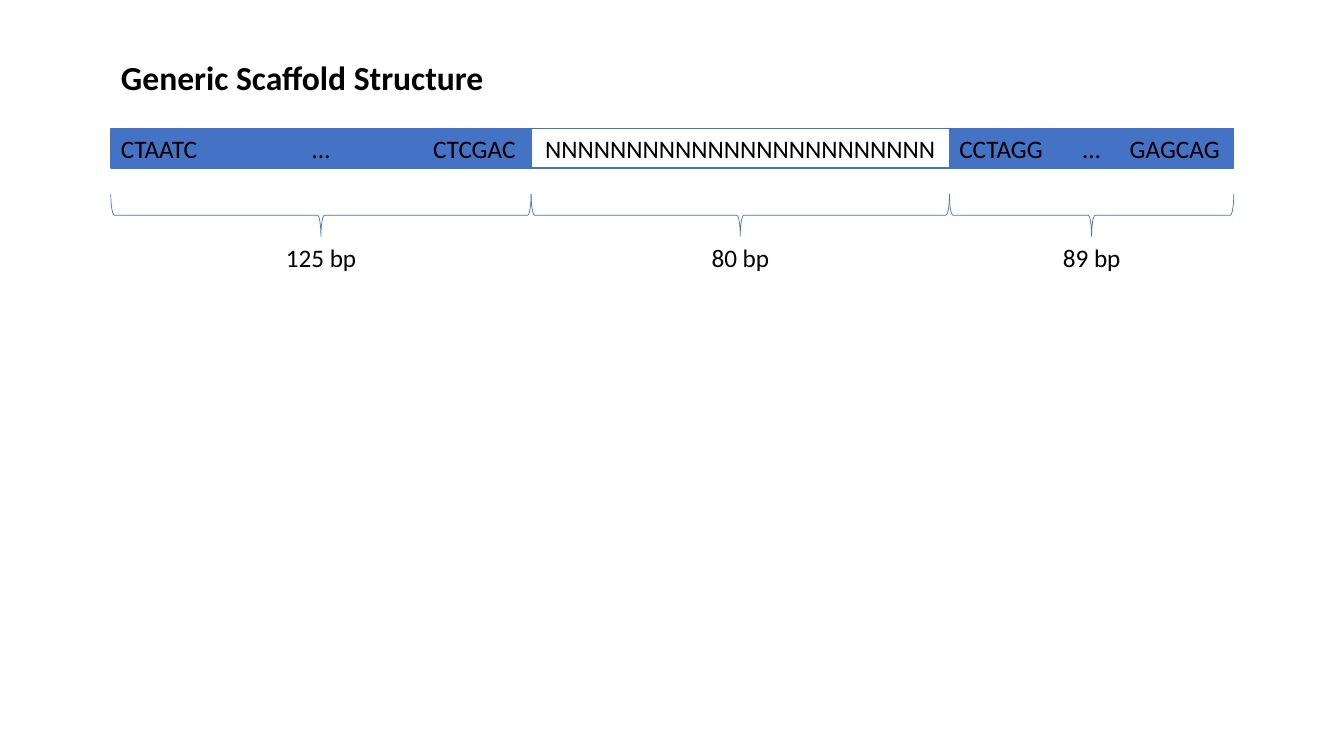
from dataclasses import dataclass

from pptx import Presentation
from pptx import util as u
from pptx.dml.color import RGBColor
from pptx.enum import shapes, text

Pt = u.Pt


@dataclass(frozen=True)
class Theme:
    blue: RGBColor = RGBColor(0x44, 0x72, 0xC4)
    white: RGBColor = RGBColor(0xFF, 0xFF, 0xFF)
    black: RGBColor = RGBColor(0, 0, 0)
    font: str = "Calibri"
    title_size: int = 24
    body_size: int = 18
    bar_line: float = 1
    brace_line: float = 0.5


@dataclass(frozen=True)
class Box:
    left: float
    top: float
    width: float
    height: float

    def lengths(self) -> tuple:
        return Pt(self.left), Pt(self.top), Pt(self.width), Pt(self.height)


@dataclass(frozen=True)
class Word:
    wording: str
    width: float


@dataclass(frozen=True)
class Region:
    left: float
    right: float
    length: str
    label_width: float
    start: Word | None = None
    end: Word | None = None

    @property
    def width(self) -> float:
        return self.right - self.left

    @property
    def centre(self) -> float:
        return (self.left + self.right) / 2


THEME = Theme()
ALIGN = text.PP_ALIGN
BAR_TOP, BAR_HEIGHT = 92, 28
TEXT_HEIGHT = 29
BRACE_CENTRE, BRACE_DEPTH = 153.7, 30.2
LABEL_TOP = 169.2
ELLIPSIS = Word("…", 29.5)
REGIONS = [
    Region(79.2, 379.4, "125 bp", 66.2, Word("CTAATC", 69), Word("CTCGAC", 77)),
    Region(379.4, 678.2, "80 bp", 56.2),
    Region(678.2, 881.3, "89 bp", 56.2, Word("CCTAGG", 77), Word("GAGCAG", 81.4)),
]


def write(shape, wording: str, size: int, align: ALIGN, bold: bool = False) -> None:
    frame = shape.text_frame
    frame.text = wording
    para = frame.paragraphs[0]
    para.alignment = align
    para.font.name = THEME.font
    para.font.size = Pt(size)
    para.font.bold = bold
    para.font.color.rgb = THEME.black


def add_bar(page, box: Box, fill: RGBColor):
    bar = page.shapes.add_shape(shapes.MSO_SHAPE.RECTANGLE, *box.lengths())
    bar.shadow.inherit = False
    bar.fill.solid()
    bar.fill.fore_color.rgb = fill
    bar.line.color.rgb = THEME.blue
    bar.line.width = Pt(THEME.bar_line)
    return bar


def add_brace(page, region: Region) -> None:
    box = Box(region.centre - BRACE_DEPTH / 2, BRACE_CENTRE - region.width / 2,
              BRACE_DEPTH, region.width)
    brace = page.shapes.add_shape(shapes.MSO_SHAPE.LEFT_BRACE, *box.lengths())
    brace.rotation = 270
    brace.shadow.inherit = False
    brace.fill.background()
    brace.line.color.rgb = THEME.blue
    brace.line.width = Pt(THEME.brace_line)


def add_word(page, word: Word, left: float, top: float, align: ALIGN = ALIGN.LEFT) -> None:
    box = Box(left, top, word.width, TEXT_HEIGHT)
    label = page.shapes.add_textbox(*box.lengths())
    label.text_frame.word_wrap = False
    write(label, word.wording, THEME.body_size, align)


def add_centred(page, word: Word, centre: float, top: float) -> None:
    add_word(page, word, centre - word.width / 2, top, ALIGN.CENTER)


def add_title(page, wording: str, box: Box) -> None:
    title = page.shapes.title
    title.left, title.top, title.width, title.height = box.lengths()
    title.text_frame.auto_size = text.MSO_AUTO_SIZE.NONE
    title.text_frame.vertical_anchor = text.MSO_ANCHOR.TOP
    write(title, wording, THEME.title_size, ALIGN.LEFT, bold=True)


def add_scaffold(page, regions: list[Region]) -> None:
    left, right = regions[0].left, regions[-1].right
    add_bar(page, Box(left, BAR_TOP, right - left, BAR_HEIGHT), THEME.blue)
    for region in regions:
        if region.start and region.end:
            add_word(page, region.start, region.left, BAR_TOP)
            add_centred(page, ELLIPSIS, region.centre, BAR_TOP)
            add_word(page, region.end, region.right - region.end.width, BAR_TOP)
        else:
            box = Box(region.left, BAR_TOP, region.width, BAR_HEIGHT)
            insert = add_bar(page, box, THEME.white)
            insert.text_frame.vertical_anchor = text.MSO_ANCHOR.MIDDLE
            write(insert, "N" * 24, THEME.body_size, ALIGN.CENTER)
        add_brace(page, region)
        add_centred(page, Word(region.length, region.label_width), region.centre, LABEL_TOP)


deck = Presentation()
deck.slide_width, deck.slide_height = Pt(960), Pt(540)
page = deck.slides.add_slide(deck.slide_layouts.get_by_name("Title Only"))
add_title(page, "Generic Scaffold Structure", Box(REGIONS[0].left, 36.7, 300.2, 36))
add_scaffold(page, REGIONS)
deck.save("out.pptx")
